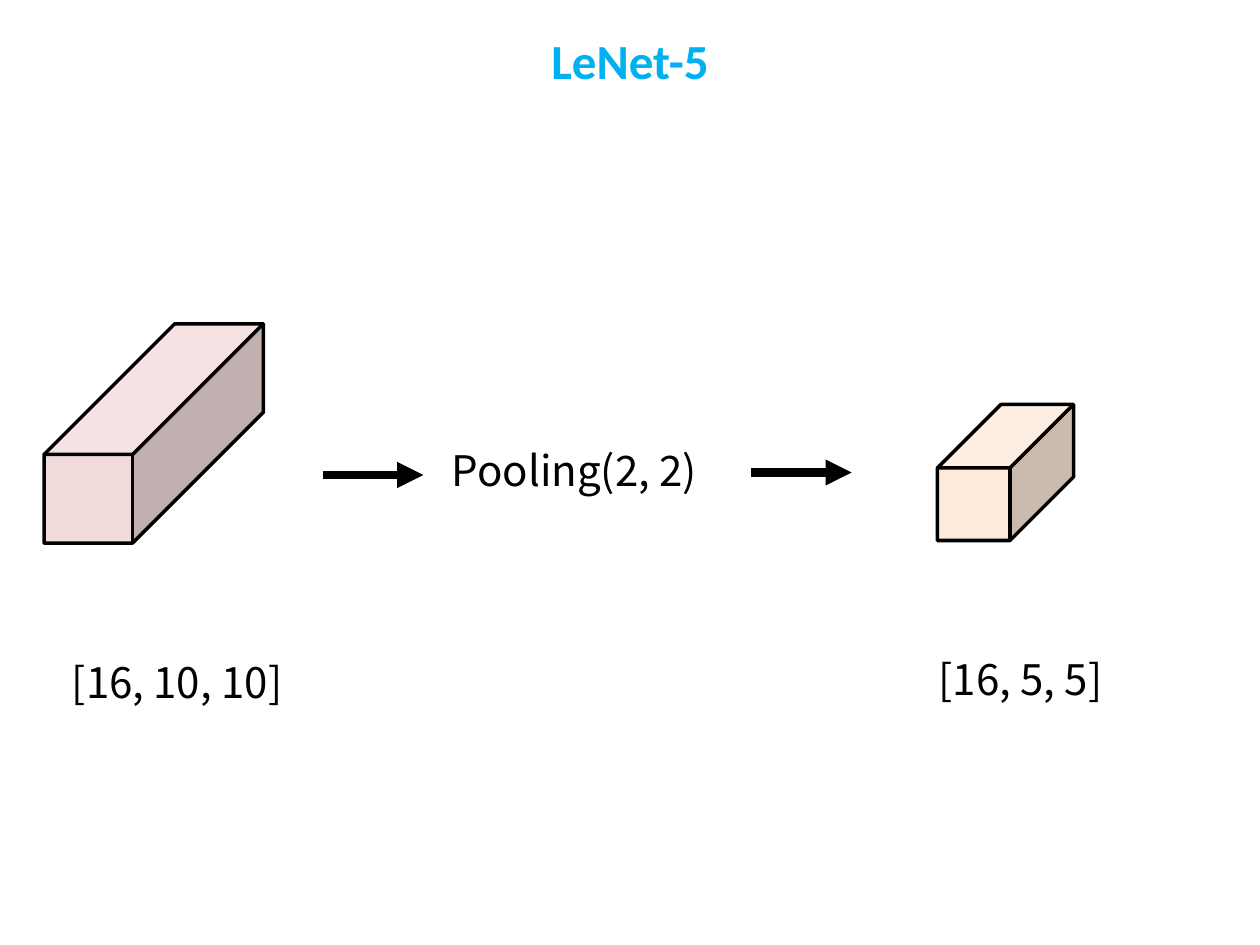
import pptx
import pptx.util
import pptx.dml.color
import pptx.enum.shapes
import pptx.enum.text
from dataclasses import dataclass
from pptx.oxml.ns import qn
from lxml import etree

Inches = pptx.util.Inches
Pt = pptx.util.Pt


@dataclass(frozen=True)
class Theme:
    head: str = "Calibri"
    body: str = "Noto Sans CJK KR"
    blue: str = "00B0F0"
    ink: str = "000000"
    pink: str = "F2DCDB"
    peach: str = "FDEADA"
    big: int = 28
    mid: int = 24
    edge: int = 2
    arrow: int = 5


theme = Theme()
title = ("LeNet-5", (0, -0.05, 10, 1.05))
labels = [
    ("Pooling(2, 2)", (3.16, 3.48, 2.8, 0.55)),
    ("[16, 10, 10]", (0.25, 5.16, 2.31, 0.6)),
    ("[16, 5, 5]", (7.21, 5.14, 1.78, 0.6)),
]
arrows = [(2.56, 3.77), (5.96, 3.75)]
reach = 0.8
cubes = [
    (0.35, 2.57, 1.74, 0.596, theme.pink),
    (7.44, 3.21, 1.08, 0.467, theme.peach),
]


def color(code):
    return pptx.dml.color.RGBColor.from_string(code)


def write(frame, text, font, size, code, bold=False):
    frame.word_wrap = True
    line = frame.paragraphs[0]
    line.alignment = pptx.enum.text.PP_ALIGN.CENTER
    run = line.add_run()
    run.text = text
    run.font.name = font
    run.font.size = Pt(size)
    run.font.bold = bold
    run.font.color.rgb = color(code)


def stroke(shape, width):
    shape.line.color.rgb = color(theme.ink)
    shape.line.width = Pt(width)


deck = pptx.Presentation()
deck.slide_width = Inches(10)
deck.slide_height = Inches(7.5)
slide = deck.slides.add_slide(deck.slide_layouts[5])
shapes = slide.shapes

text, box = title
head = shapes.title
head.left, head.top, head.width, head.height = map(Inches, box)
head.text_frame.vertical_anchor = pptx.enum.text.MSO_ANCHOR.MIDDLE
write(head.text_frame, text, theme.head, theme.big, theme.blue, True)

for left, top in arrows:
    arrow = shapes.add_connector(
        pptx.enum.shapes.MSO_CONNECTOR.STRAIGHT,
        Inches(left), Inches(top), Inches(left + reach), Inches(top))
    stroke(arrow, theme.arrow)
    etree.SubElement(arrow.line._get_or_add_ln(), qn("a:tailEnd"), type="triangle")
    etree.SubElement(arrow._element.spPr, qn("a:effectLst"))

for text, box in labels:
    label = shapes.add_textbox(*map(Inches, box))
    write(label.text_frame, text, theme.body, theme.mid, theme.ink)

for left, top, side, depth, fill in cubes:
    cube = shapes.add_shape(
        pptx.enum.shapes.MSO_SHAPE.CUBE,
        *map(Inches, (left, top, side, side)))
    cube.adjustments[0] = depth
    cube.shadow.inherit = False
    cube.fill.solid()
    cube.fill.fore_color.rgb = color(fill)
    stroke(cube, theme.edge)

deck.save("out.pptx")
